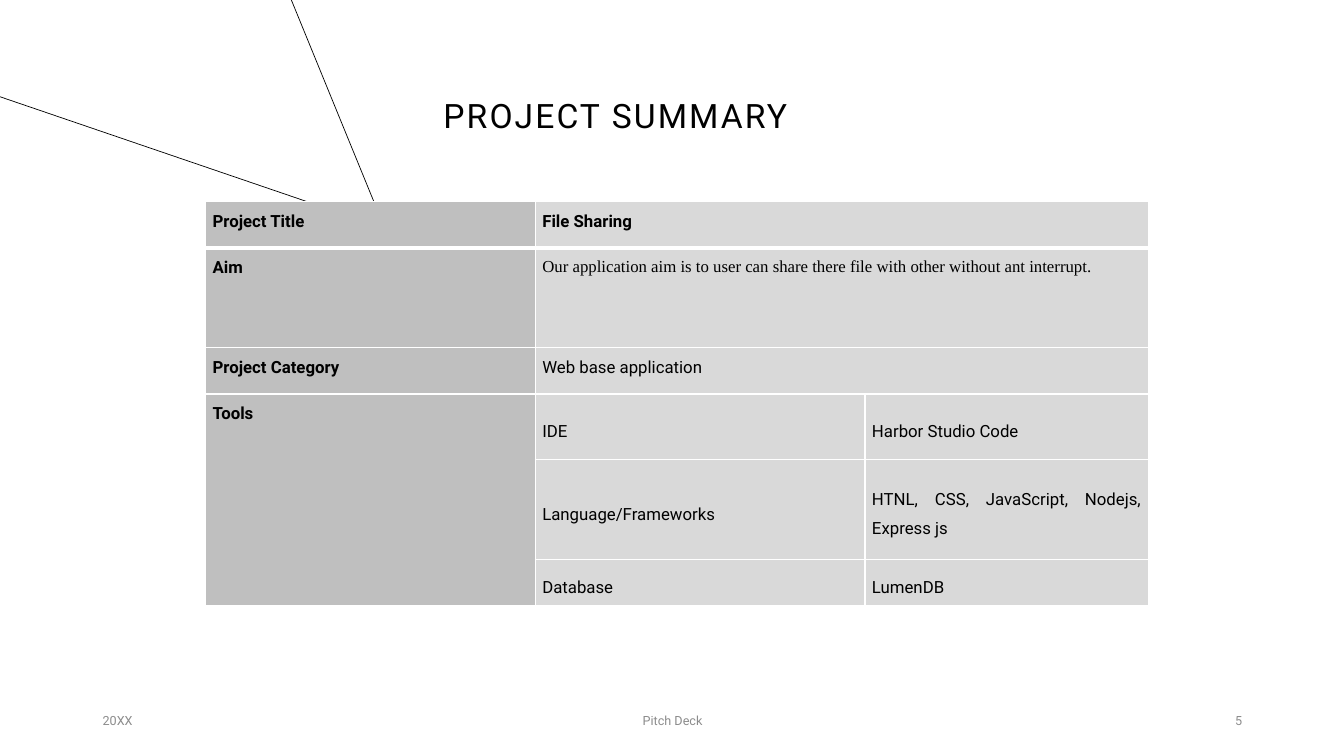
from dataclasses import dataclass
from itertools import product

from lxml.etree import SubElement
from pptx import Presentation
from pptx.dml.color import RGBColor
from pptx.enum.shapes import MSO_CONNECTOR
from pptx.enum.text import MSO_ANCHOR, PP_ALIGN
from pptx.oxml.ns import qn
from pptx.util import Inches, Pt

WIDTH, HEIGHT = Inches(13.33), Inches(7.5)
BLACK, WHITE, GRAY = "000000", "FFFFFF", "8C8C8C"
LABEL_FILL, VALUE_FILL = "BFBFBF", "D9D9D9"
COLUMN_SHARES = (24.53, 24.53, 21.08)
ROW_SHARES = (6.13, 13.2, 6.13, 8.67, 13.2, 6.13)


@dataclass
class Ray:
    start: tuple[float, float]
    end: tuple[float, float]


@dataclass
class Footer:
    text: str
    left: float
    width: float
    align: PP_ALIGN


@dataclass
class Entry:
    row: int
    column: int
    text: str
    bold: bool = False
    font: str = "Roboto"
    rows: int = 1
    columns: int = 1


RAYS = (
    Ray((39.08, 36.53), (0, 12.8)),
    Ray((39.08, 75.6), (21.68, 0)),
)
FOOTERS = (
    Footer("20XX", 6.9, 22.5, PP_ALIGN.LEFT),
    Footer("Pitch Deck", 33.16, 33.76, PP_ALIGN.CENTER),
    Footer("5", 70.67, 22.5, PP_ALIGN.RIGHT),
)
ENTRIES = (
    Entry(0, 0, "Project Title", bold=True),
    Entry(0, 1, "File Sharing", bold=True, columns=2),
    Entry(1, 0, "Aim", bold=True),
    Entry(1, 1, "Our application aim is to user can share there file with other "
          "without ant interrupt.", font="Times New Roman", columns=2),
    Entry(2, 0, "Project Category", bold=True),
    Entry(2, 1, "Web base application", columns=2),
    Entry(3, 0, "Tools", bold=True, rows=3),
    Entry(3, 1, "IDE"),
    Entry(3, 2, "Harbor Studio Code"),
    Entry(4, 1, "Language/Frameworks"),
    Entry(4, 2, "HTNL, CSS, JavaScript, Nodejs, Express js"),
    Entry(5, 1, "Database"),
    Entry(5, 2, "LumenDB"),
)
FIRST_TOOL_ROW = 3


def across(share: float) -> int:
    """Turn a percentage of the slide's width into a length."""
    return round(WIDTH * share / 100)


def down(share: float) -> int:
    """Turn a percentage of the slide's height into a length."""
    return round(HEIGHT * share / 100)


def color(value: str) -> RGBColor:
    return RGBColor.from_string(value)


def write(frame, text: str, *, size: float, ink: str = BLACK, font: str = "Roboto",
          bold: bool = False, align: PP_ALIGN = PP_ALIGN.LEFT,
          line_spacing: float = 1.0, tracking: float = 0) -> None:
    frame.word_wrap = True
    paragraph = frame.paragraphs[0]
    paragraph.alignment = align
    paragraph.line_spacing = line_spacing
    run = paragraph.add_run()
    run.text = text
    run.font.name = font
    run.font.size = Pt(size)
    run.font.bold = bold
    run.font.color.rgb = color(ink)
    if tracking:
        run.font._element.set("spc", str(round(tracking * 100)))


def add_ray(slide, ray: Ray) -> None:
    connector = slide.shapes.add_connector(
        MSO_CONNECTOR.STRAIGHT, across(ray.start[0]), down(ray.start[1]),
        across(ray.end[0]), down(ray.end[1]))
    connector.line.color.rgb = color(BLACK)
    connector.line.width = Pt(0.5)
    SubElement(connector._element.spPr, qn("a:effectLst"))


def add_title(slide) -> None:
    box = slide.shapes.add_textbox(across(32.26), down(7.07), across(41.94), down(17.6))
    frame = box.text_frame
    frame.vertical_anchor = MSO_ANCHOR.BOTTOM
    frame.margin_bottom = down(6.67)
    write(frame, "PROJECT SUMMARY", size=24, line_spacing=0.9, tracking=1.5)


def add_footer(slide, footer: Footer) -> None:
    box = slide.shapes.add_textbox(
        across(footer.left), down(92.67), across(footer.width), down(5.33))
    box.text_frame.vertical_anchor = MSO_ANCHOR.MIDDLE
    write(box.text_frame, footer.text, size=9, ink=GRAY, align=footer.align)


def style_cell(cell, fill: str, bottom_width: float) -> None:
    """Set borders before the fill, as the cell's XML order requires."""
    properties = cell._tc.get_or_add_tcPr()
    for side, width in (("L", 1), ("R", 1), ("T", 1), ("B", bottom_width)):
        border = SubElement(properties, qn(f"a:ln{side}"), w=str(Pt(width)))
        solid = SubElement(border, qn("a:solidFill"))
        SubElement(solid, qn("a:srgbClr"), val=WHITE)
    cell.fill.solid()
    cell.fill.fore_color.rgb = color(fill)
    cell.margin_left = cell.margin_right = Inches(0.07)
    cell.margin_top = cell.margin_bottom = 0


def add_summary_table(slide) -> None:
    table = slide.shapes.add_table(
        len(ROW_SHARES), len(COLUMN_SHARES), across(15.3), down(26.67),
        across(sum(COLUMN_SHARES)), down(sum(ROW_SHARES))).table
    table.first_row = table.horz_banding = False
    for column, share in zip(table.columns, COLUMN_SHARES):
        column.width = across(share)
    for row, share in zip(table.rows, ROW_SHARES):
        row.height = down(share)
    for row, column in product(range(len(ROW_SHARES)), range(len(COLUMN_SHARES))):
        style_cell(table.cell(row, column), VALUE_FILL if column else LABEL_FILL,
                   1 if row else 3)
    for entry in ENTRIES:
        cell = table.cell(entry.row, entry.column)
        if entry.rows > 1 or entry.columns > 1:
            cell.merge(table.cell(entry.row + entry.rows - 1,
                                  entry.column + entry.columns - 1))
        if entry.row >= FIRST_TOOL_ROW and entry.column:
            cell.vertical_anchor = MSO_ANCHOR.MIDDLE
        write(cell.text_frame, entry.text, size=12, font=entry.font, bold=entry.bold,
              align=PP_ALIGN.JUSTIFY, line_spacing=1.5)


def main() -> None:
    presentation = Presentation()
    presentation.slide_width, presentation.slide_height = WIDTH, HEIGHT
    slide = presentation.slides.add_slide(presentation.slide_layouts[6])
    slide.background.fill.solid()
    slide.background.fill.fore_color.rgb = color(WHITE)
    for ray in RAYS:
        add_ray(slide, ray)
    add_title(slide)
    for footer in FOOTERS:
        add_footer(slide, footer)
    add_summary_table(slide)
    presentation.save("out.pptx")


if __name__ == "__main__":
    main()
